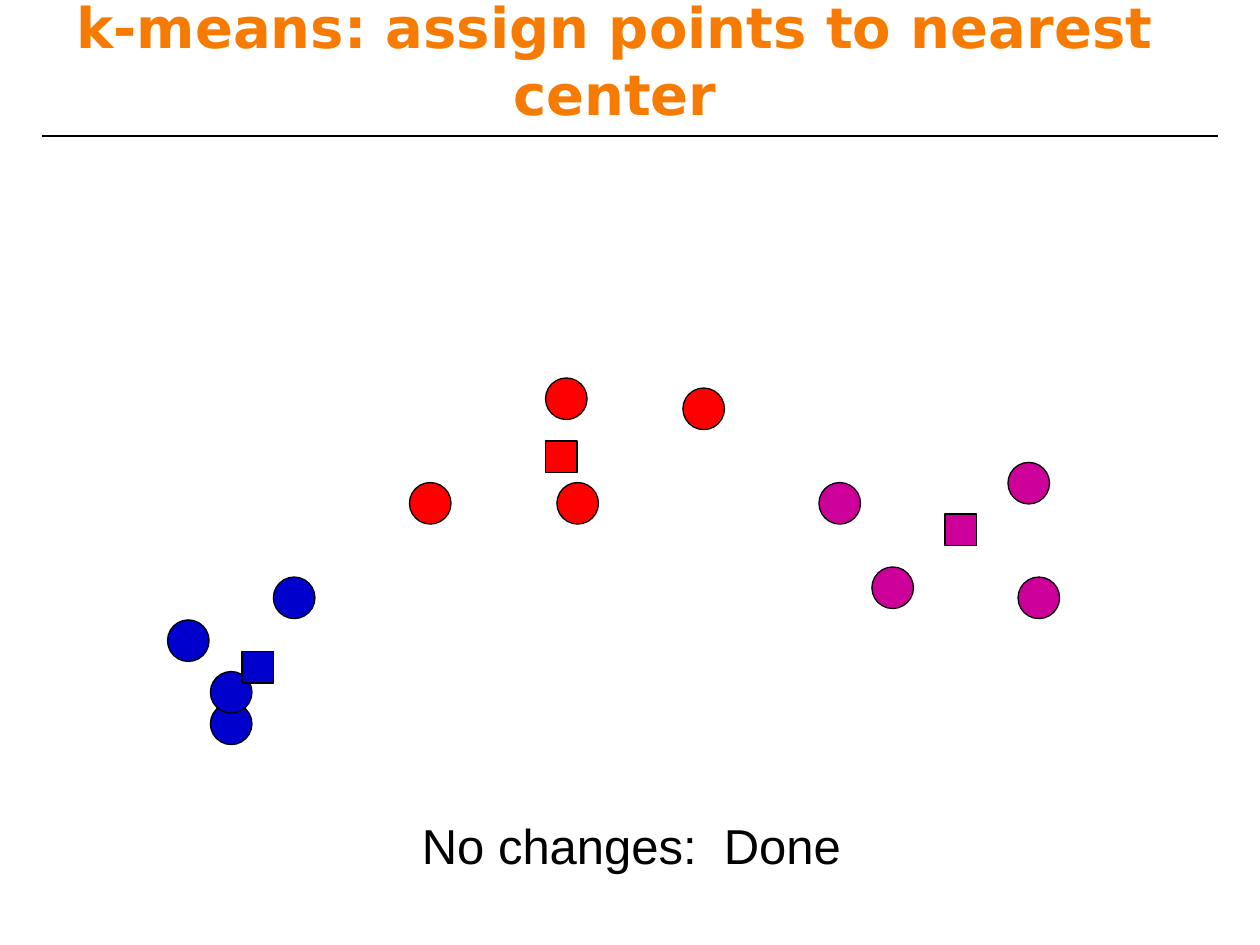
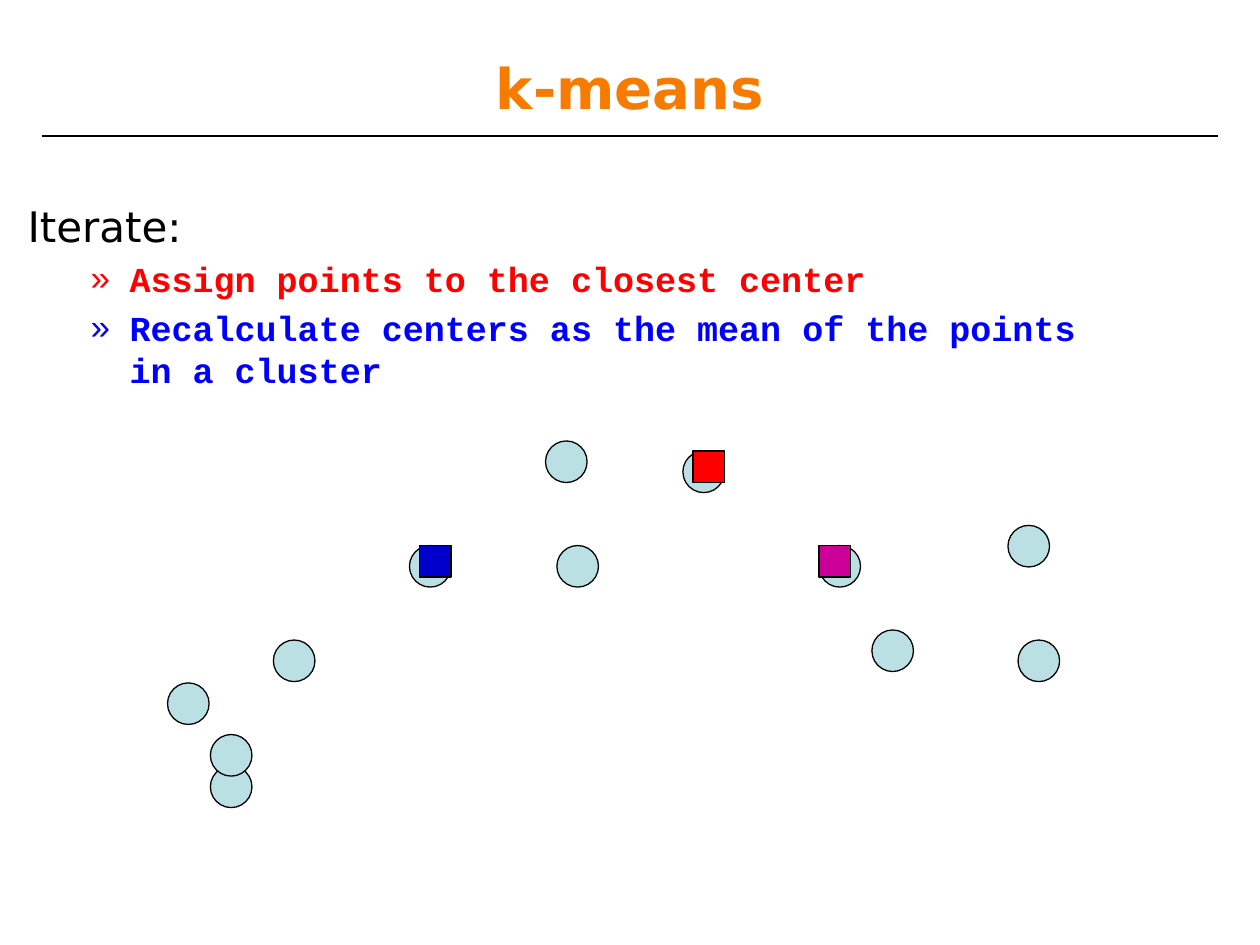
from lxml import etree
from pptx import Presentation
from pptx.dml.color import RGBColor
from pptx.enum.shapes import MSO_CONNECTOR, MSO_SHAPE
from pptx.enum.text import MSO_ANCHOR, PP_ALIGN
from pptx.oxml.ns import qn
from pptx.util import Inches, Pt

OVAL, RECT = MSO_SHAPE.OVAL, MSO_SHAPE.RECTANGLE
LINE = MSO_CONNECTOR.STRAIGHT
MIDDLE, CENTER, LEFT = MSO_ANCHOR.MIDDLE, PP_ALIGN.CENTER, PP_ALIGN.LEFT

ORANGE, BLACK, PALE = "F67B00", "000000", "BBE0E3"
NAVY, RED, PINK, BLUE = "0000CC", "FF0000", "CC0099", "0000FF"
SANS, ARIAL, MONO = "DejaVu Sans", "Arial", "Courier New"
DOT, MARK = 0.33, 0.25

# Data points in drawing order: left, top, cluster colour
POINTS = [
    (1.67, 5.58, NAVY), (1.33, 4.92, NAVY), (2.17, 4.58, NAVY),
    (8, 3.67, PINK), (4.33, 3, RED), (5.42, 3.08, RED),
    (4.42, 3.83, RED), (3.25, 3.83, RED), (8.08, 4.58, PINK),
    (6.5, 3.83, PINK), (1.67, 5.33, NAVY), (6.92, 4.5, PINK),
]

# Each slide: title, title place, shift of points, one colour for all, centers
SLIDES = [
    ("k-means: assign points to nearest center", (0.17, 0.08, 9.42, 0.78),
     0, None, [(1.92, 5.17, NAVY), (4.33, 3.5, RED), (7.5, 4.08, PINK)]),
    ("k-means", (0.5, 0.3, 9, 0.78),
     0.5, PALE, [(3.33, 4.33, NAVY), (5.5, 3.58, RED), (6.5, 4.33, PINK)]),
]

# Text under the titles: wording, size, font, colour, bold, bullet, space before
NOTES = [
    ((3.25, 6.42, 5.58, 0.57),
     [("No changes:  Done", 28, ARIAL, BLACK, False, False, 0)]),
    ((0.12, 1.54, 8.92, 1.42),
     [("Iterate:", 24, SANS, BLACK, False, False, 4.8),
      ("Assign points to the closest center", 20, MONO, RED, True, True, 4),
      ("Recalculate centers as the mean of the points in a cluster",
       20, MONO, BLUE, True, True, 4)]),
]


def rgb(code):
    return RGBColor.from_string(code)


def write(slide, place, rows, align=LEFT):
    box = slide.shapes.add_textbox(*map(Inches, place))
    frame = box.text_frame
    frame.word_wrap = True
    frame.text = "\n".join(row[0] for row in rows)
    for para, row in zip(frame.paragraphs, rows):
        _, size, face, color, bold, bullet, gap = row
        para.alignment = align
        para.space_before = Pt(gap)
        font = para.runs[0].font
        font.size, font.name, font.bold = Pt(size), face, bold
        font.color.rgb = rgb(color)
        if bullet:
            para.level = 1
            props = para._p.get_or_add_pPr()
            props.set("marL", str(Inches(0.81)))
            props.set("indent", str(Inches(-0.31)))
            etree.SubElement(props, qn("a:buFont")).set("typeface", ARIAL)
            etree.SubElement(props, qn("a:buChar")).set("char", "»")
    return frame


deck = Presentation()
deck.slide_width, deck.slide_height = Inches(10), Inches(7.5)

for (title, place, shift, tint, centers), (spot, rows) in zip(SLIDES, NOTES):
    slide = deck.slides.add_slide(deck.slide_layouts[6])

    # Rule under the title
    rule = slide.shapes.add_connector(
        LINE, Inches(0.33), Inches(1.08), Inches(9.67), Inches(1.08))
    rule.line.color.rgb = rgb(BLACK)
    rule.line.width = Pt(1.5)
    etree.SubElement(rule._element.spPr, qn("a:effectLst"))

    # Title and text
    head = [(title, 32, SANS, ORANGE, True, False, 0)]
    write(slide, place, head, CENTER).vertical_anchor = MIDDLE
    write(slide, spot, rows)

    # Points first, cluster centers on top
    marks = [(OVAL, DOT, x, y + shift, tint or color) for x, y, color in POINTS]
    marks += [(RECT, MARK, x, y, color) for x, y, color in centers]
    for kind, size, x, y, color in marks:
        mark = slide.shapes.add_shape(
            kind, Inches(x), Inches(y), Inches(size), Inches(size))
        mark.shadow.inherit = False
        mark.fill.solid()
        mark.fill.fore_color.rgb = rgb(color)
        mark.line.color.rgb = rgb(BLACK)
        mark.line.width = Pt(0.75)

deck.save("out.pptx")
